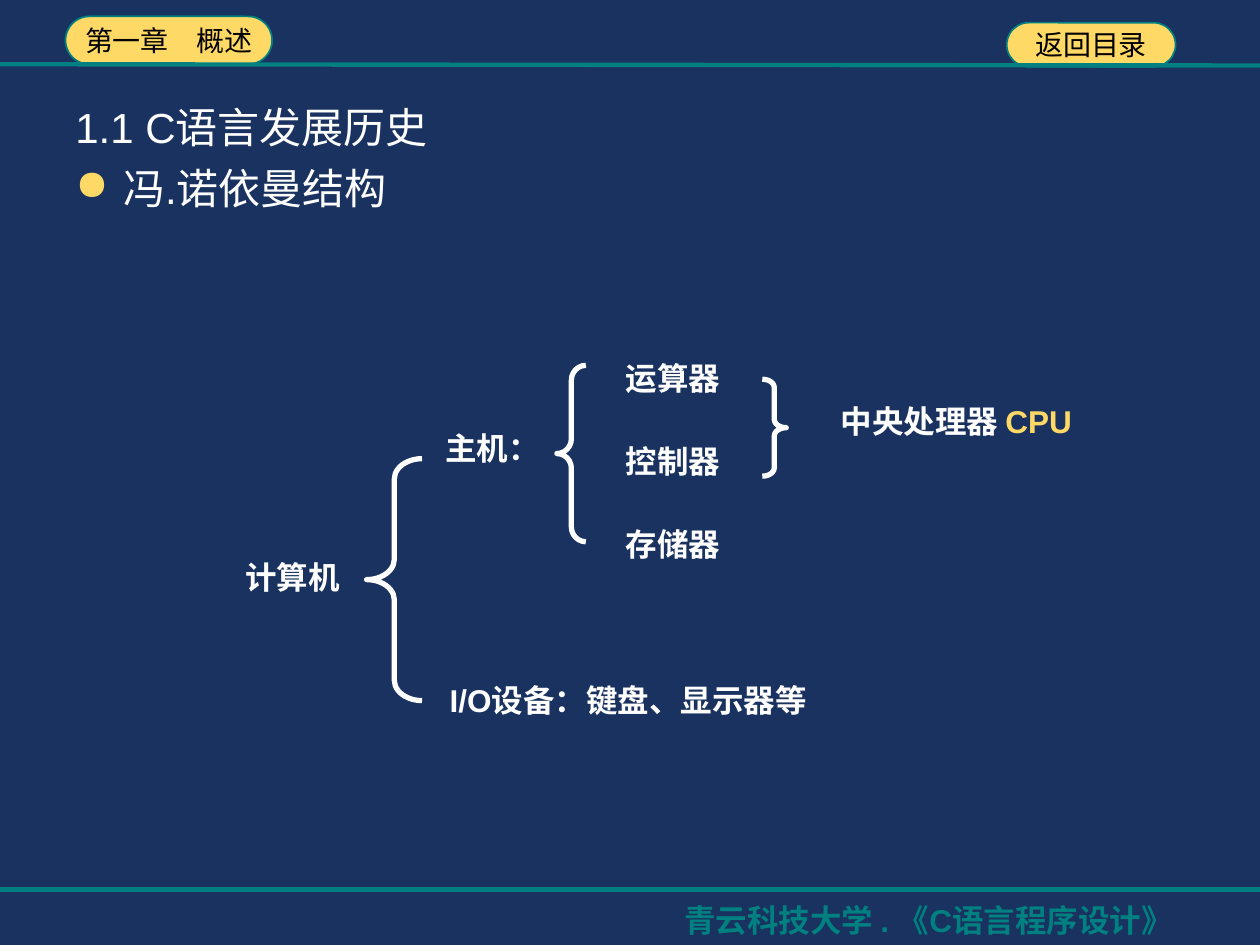
"""Build the slide on the von Neumann structure of a computer."""
from lxml import etree
from pptx import Presentation
from pptx import util as u
from pptx.dml import color
from pptx.enum import shapes, text
from pptx.oxml import ns

NAVY, TEAL, GOLD, WHITE, BLACK = "19325F", "008080", "FFD966", "FFFFFF", "000000"
KIND = shapes.MSO_SHAPE
ALIGN = text.PP_ALIGN


def paint(fmt, shade):
    fmt.solid()
    fmt.fore_color.rgb = color.RGBColor.from_string(shade)


def write(par, words, size, shade, bold=False):
    run = par.add_run()
    run.text = words
    run.font.name = "Arial"
    run.font.size = u.Pt(size)
    run.font.bold = bold
    paint(run.font.fill, shade)


deck = Presentation()
deck.slide_width, deck.slide_height = u.Inches(10), u.Inches(7.5)
slide = deck.slides.add_slide(deck.slide_layouts[6])
paint(slide.background.fill, NAVY)
tree = slide.shapes

pills = [
    ("第一章　概述", 0.52, 0.13, 1.64, 0.38),
    ("返回目录", 7.99, 0.18, 1.34, 0.35),
]
for words, *place in pills:
    pill = tree.add_shape(KIND.ROUNDED_RECTANGLE, *map(u.Inches, place))
    pill.adjustments[0] = 0.5
    pill.shadow.inherit = False
    paint(pill.fill, GOLD)
    paint(pill.line.fill, TEAL)
    pill.line.width = u.Pt(1)
    frame = pill.text_frame
    frame.word_wrap = False
    frame.vertical_anchor = text.MSO_ANCHOR.MIDDLE
    par = frame.paragraphs[0]
    par.alignment = ALIGN.CENTER
    write(par, words, 16, BLACK)

for start, end in [(0.51, 0.52), (7.06, 7.06)]:
    rule = tree.add_connector(
        shapes.MSO_CONNECTOR.STRAIGHT,
        u.Inches(0), u.Inches(start), u.Inches(10), u.Inches(end))
    paint(rule.line.fill, TEAL)
    rule.line.width = u.Pt(2.5)
    etree.SubElement(rule._element.spPr, ns.qn("a:effectLst"))

foot = tree.add_textbox(u.Inches(5), u.Inches(7.1), u.Inches(5), u.Inches(0.4))
foot.text_frame.word_wrap = True
foot.text_frame.margin_left = u.Inches(0.43)
write(foot.text_frame.paragraphs[0], "青云科技大学 . 《C语言程序设计》", 18, TEAL, True)

body = tree.add_textbox(u.Inches(0.5), u.Inches(0.68), u.Inches(9), u.Inches(6.02))
frame = body.text_frame
frame.word_wrap = True
head, item = frame.paragraphs[0], frame.add_paragraph()
for par, words in [(head, "1.1 C语言发展历史"), (item, "冯.诺依曼结构")]:
    par.line_spacing = 1.2
    write(par, words, 24, WHITE)
props = item._p.get_or_add_pPr()
props.set("marL", str(u.Inches(0.38)))
props.set("indent", str(u.Inches(-0.38)))
tint = etree.SubElement(props, ns.qn("a:buClr"))
etree.SubElement(tint, ns.qn("a:srgbClr"), val=GOLD)
etree.SubElement(props, ns.qn("a:buChar"), char="●")

braces = [
    (KIND.LEFT_BRACE, 0.365, 2.91, 3.64, 0.44, 1.92),
    (KIND.LEFT_BRACE, 0.511, 4.42, 2.9, 0.23, 1.4),
    (KIND.RIGHT_BRACE, 0.346, 6.05, 3.01, 0.19, 0.77),
]
for kind, curve, *place in braces:
    brace = tree.add_shape(kind, *map(u.Inches, place))
    brace.adjustments[0] = curve
    brace.shadow.inherit = False
    brace.fill.background()
    paint(brace.line.fill, WHITE)
    brace.line.width = u.Pt(3)

labels = [
    ([("计算机", WHITE)], 1.84, 4.38, 0.96),
    ([("主机：", WHITE)], 3.43, 3.36, 0.96),
    ([("I/O设备：键盘、显示器等", WHITE)], 3.43, 5.36, 3.11),
    ([("中央处理器 ", WHITE), ("CPU", GOLD)], 6.24, 3.14, 2.7),
]
for row, words in enumerate(["运算器", "控制器", "存储器"]):
    labels.append(([(words, WHITE)], 4.86, 2.8 + 0.66 * row, 0.96))
for runs, left, top, width in labels:
    label = tree.add_textbox(
        u.Inches(left), u.Inches(top), u.Inches(width), u.Inches(0.4))
    label.text_frame.word_wrap = False
    par = label.text_frame.paragraphs[0]
    par.alignment = ALIGN.CENTER
    for words, shade in runs:
        write(par, words, 18, shade, True)

deck.save("out.pptx")
